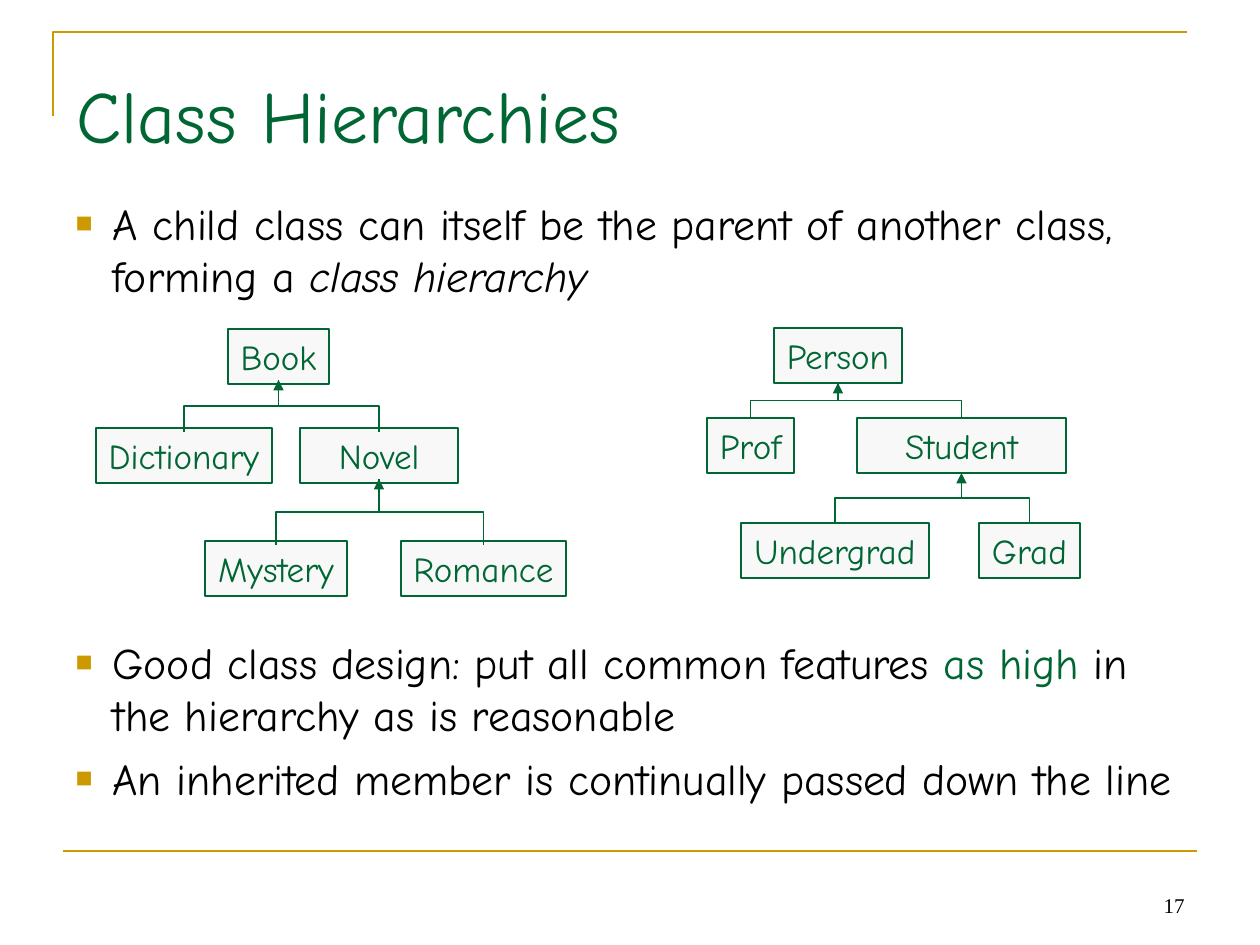
from lxml.etree import SubElement
from pptx import Presentation
from pptx.dml.color import RGBColor
from pptx.enum.shapes import MSO_CONNECTOR, MSO_SHAPE
from pptx.enum.text import MSO_ANCHOR, MSO_AUTO_SIZE, PP_ALIGN
from pptx.oxml.ns import qn
from pptx.util import Pt

PX = 914400 / 126
GREEN, GOLD, BLACK, PALE = "006633", "CC9900", "000000", "F8F8F8"
FONT = "Comic Neue"


def emu(*lengths):
    return [round(length * PX) for length in lengths]


def color(hex_text):
    return RGBColor.from_string(hex_text)


presentation = Presentation()
presentation.slide_width, presentation.slide_height = emu(1260, 945)
slide = presentation.slides.add_slide(presentation.slide_layouts[1])
shapes = slide.shapes

# Gold frame lines
builder = shapes.build_freeform(53, 116, scale=PX)
builder.add_line_segments([(53, 32), (1187, 32)], close=False)
corner = builder.convert_to_shape()
corner.shadow.inherit = False
corner.fill.background()
footer_rule = shapes.add_connector(MSO_CONNECTOR.STRAIGHT, *emu(63, 851, 1197, 851))
SubElement(footer_rule.element.spPr, qn("a:effectLst"))
for rule in (corner, footer_rule):
    rule.line.color.rgb = color(GOLD)
    rule.line.width = Pt(1.5)

# Title
title = shapes.title
title.left, title.top, title.width, title.height = emu(64, 35, 1071, 158)
title.text_frame.text = "Class Hierarchies"
title.text_frame.vertical_anchor = MSO_ANCHOR.MIDDLE
title.text_frame.auto_size = MSO_AUTO_SIZE.NONE
paragraph = title.text_frame.paragraphs[0]
paragraph.alignment = PP_ALIGN.LEFT
font = paragraph.runs[0].font
font.name, font.size, font.color.rgb = FONT, Pt(42), color(GREEN)

# Bullets: space before in points, then runs of (text, colour, italic)
bullets = [
    (0, [("A child class can itself be the parent of another class, forming a ", BLACK, False),
         ("class hierarchy", BLACK, True)]),
    (191, [("Good class design: put all common features ", BLACK, False),
           ("as high", GREEN, False),
           (" in the hierarchy as is reasonable", BLACK, False)]),
    (6.2, [("An inherited member is continually passed down the line", BLACK, False)]),
]
body = slide.placeholders[1]
body.left, body.top, body.width, body.height = emu(63, 190, 1134, 660)
frame = body.text_frame
frame.auto_size = MSO_AUTO_SIZE.NONE
frame.vertical_anchor = MSO_ANCHOR.TOP
indent = emu(37)[0]
for index, (space, runs) in enumerate(bullets):
    paragraph = frame.add_paragraph() if index else frame.paragraphs[0]
    paragraph.space_before = Pt(space)
    properties = paragraph._p.get_or_add_pPr()
    properties.set("marL", str(indent))
    properties.set("indent", str(-indent))
    SubElement(SubElement(properties, qn("a:buClr")), qn("a:srgbClr"), val=GOLD)
    SubElement(properties, qn("a:buSzPct"), val="65000")
    SubElement(properties, qn("a:buFont"), typeface="Arial")
    SubElement(properties, qn("a:buChar"), char="■")
    for text, run_color, italic in runs:
        run = paragraph.add_run()
        run.text = text
        font = run.font
        font.name, font.size, font.italic = FONT, Pt(25), italic
        font.color.rgb = color(run_color)

# Class trees: boxes as (left, top, width), links as parent -> (left child, right child)
BOX_HEIGHT = 55
book_boxes = {
    "Book": (228, 329, 101),
    "Novel": (300, 428, 158),
    "Dictionary": (96, 428, 176),
    "Mystery": (205, 541, 142),
    "Romance": (401, 541, 165),
}
book_links = {"Book": ("Dictionary", "Novel"), "Novel": ("Mystery", "Romance")}
person_boxes = {
    "Person": (774, 328, 128),
    "Student": (857, 418, 209),
    "Prof": (707, 418, 87),
    "Undergrad": (741, 523, 188),
    "Grad": (979, 523, 101),
}
person_links = {"Person": ("Prof", "Student"), "Student": ("Undergrad", "Grad")}

for boxes, links, overlap in ((book_boxes, book_links, 4), (person_boxes, person_links, 0)):
    for name, (left, top, width) in boxes.items():
        box = shapes.add_shape(MSO_SHAPE.RECTANGLE, *emu(left, top, width, BOX_HEIGHT))
        box.shadow.inherit = False
        box.fill.solid()
        box.fill.fore_color.rgb = color(PALE)
        box.line.color.rgb = color(GREEN)
        box.line.width = Pt(1)
        box.text_frame.text = name
        box.text_frame.word_wrap = False
        box.text_frame.vertical_anchor = MSO_ANCHOR.MIDDLE
        paragraph = box.text_frame.paragraphs[0]
        paragraph.alignment = PP_ALIGN.CENTER
        font = paragraph.runs[0].font
        font.name, font.size, font.color.rgb = FONT, Pt(20), color(GREEN)

    for parent, children in links.items():
        left, top, width = boxes[parent]
        parent_x, parent_y = left + width / 2, top + BOX_HEIGHT - overlap
        for child, side, angle in zip(children, (1, -1), (90, 270)):
            left, top, width = boxes[child]
            child_x, child_y = left + width / 2, top + overlap
            # A quarter turn about the middle makes the elbow leave vertically
            middle_x, middle_y = (child_x + parent_x) / 2, (child_y + parent_y) / 2
            half_rise, half_run = (child_y - parent_y) / 2, abs(child_x - parent_x) / 2
            link = shapes.add_connector(
                MSO_CONNECTOR.ELBOW,
                *emu(middle_x + side * half_rise, middle_y + half_run,
                     middle_x - side * half_rise, middle_y - half_run))
            link.line.color.rgb = color(GREEN)
            link.line.width = Pt(1)
            link_properties = link.element.spPr
            link_properties.find(qn("a:xfrm")).set("rot", str(angle * 60000))
            if side == 1:
                SubElement(link_properties.find(qn("a:ln")), qn("a:tailEnd"), type="triangle")
            SubElement(link_properties, qn("a:effectLst"))

# Page number
page_number = shapes.add_textbox(*emu(903, 861, 294, 63))
frame = page_number.text_frame
frame.word_wrap = True
frame.vertical_anchor = MSO_ANCHOR.BOTTOM
frame.text = "17"
paragraph = frame.paragraphs[0]
paragraph.alignment = PP_ALIGN.RIGHT
font = paragraph.runs[0].font
font.name, font.size, font.color.rgb = "Times New Roman", Pt(12), color(BLACK)

presentation.save("out.pptx")
